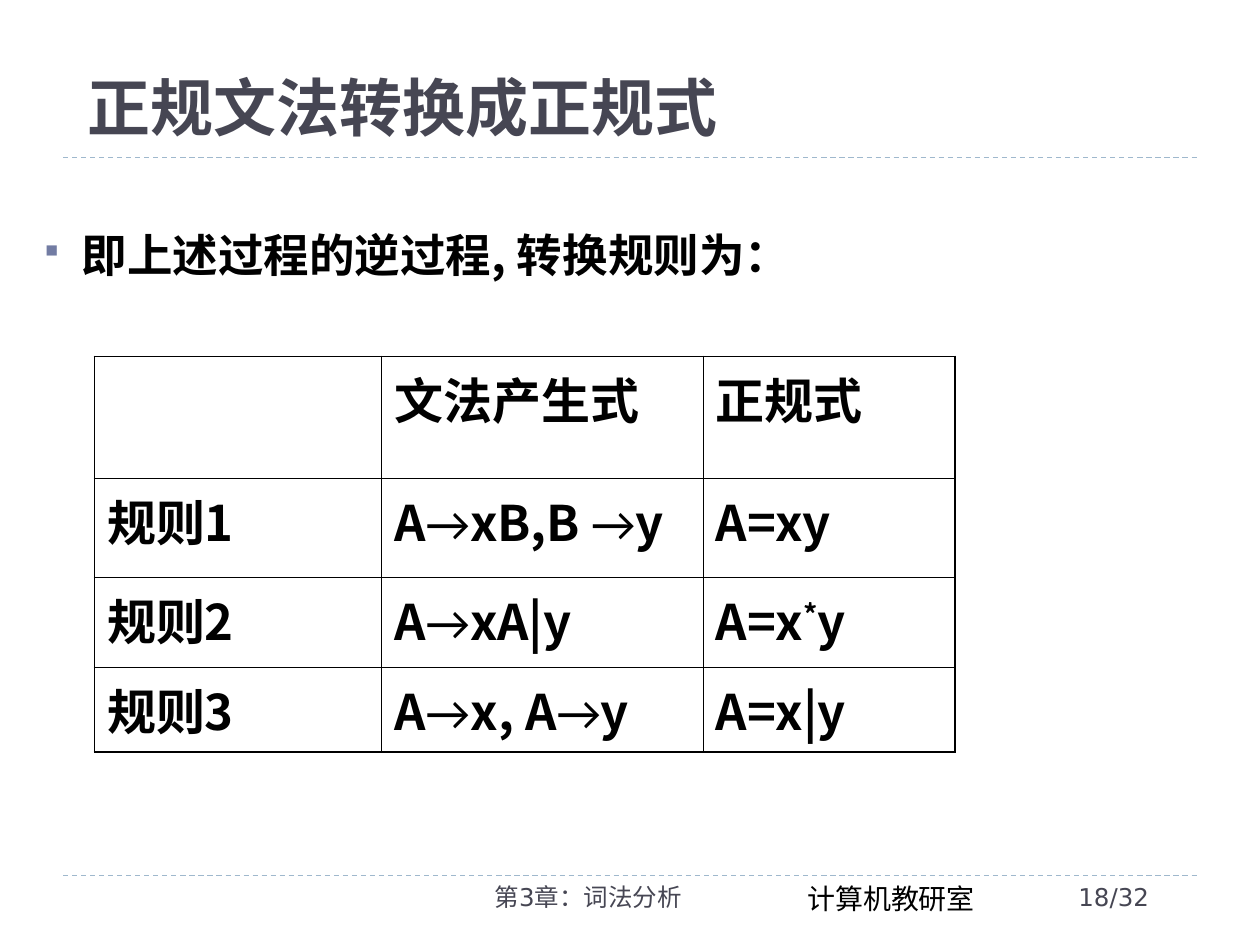
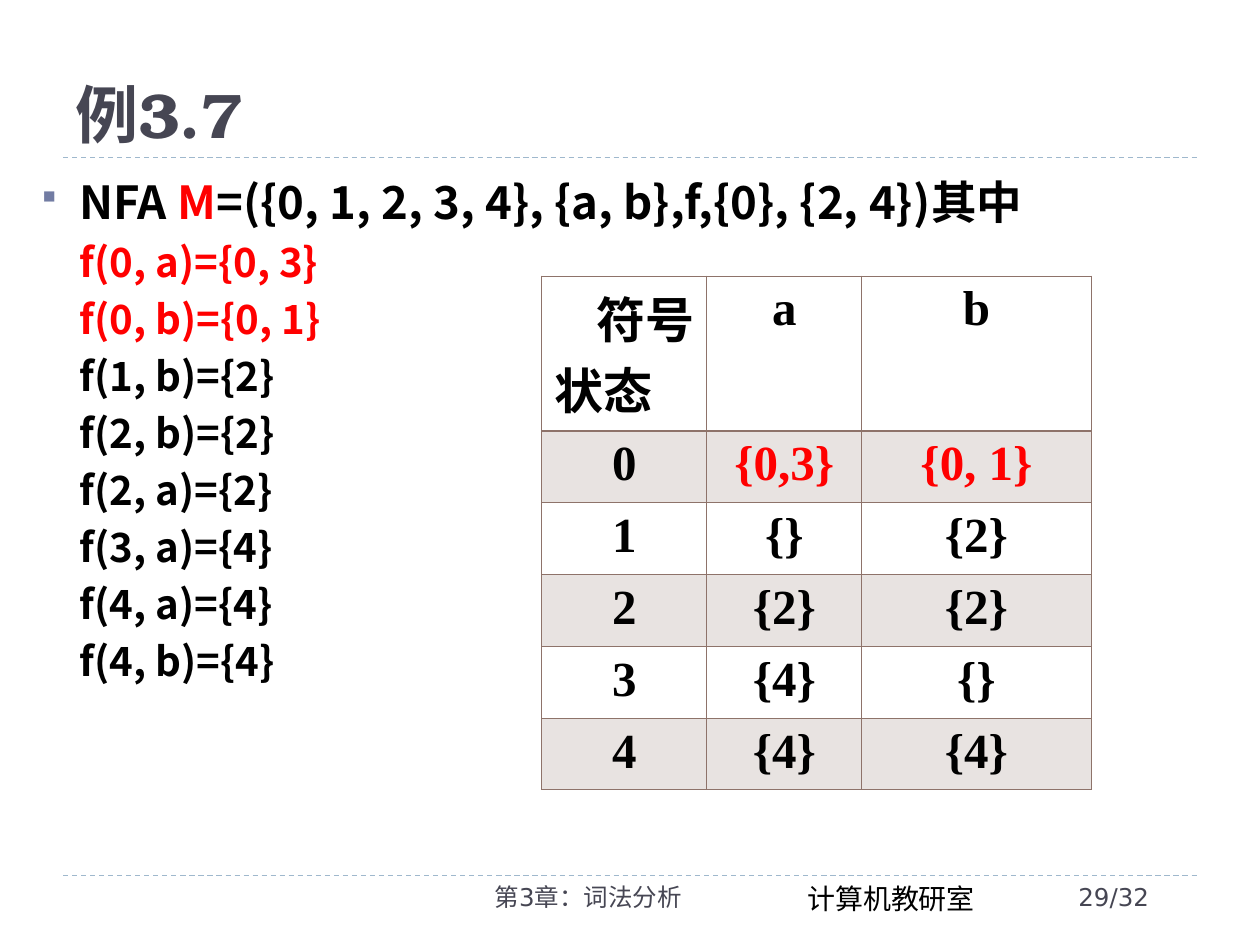
from itertools import groupby
from lxml.etree import SubElement
from pptx import Presentation
from pptx.dml.color import RGBColor as RGB
from pptx.enum.dml import MSO_LINE
from pptx.enum.shapes import MSO_CONNECTOR
from pptx.enum.text import MSO_ANCHOR as ANCHOR, PP_ALIGN as ALIGN
from pptx.oxml.ns import qn
from pptx.util import Inches, Pt

# Shared style
C = {"ink": "000000", "title": "464653", "rule": "9FB8CD", "bullet": "727CA3",
     "red": "FF0000", "grid": "8E736A", "band": "E8E3E1", "white": "FFFFFF"}
CJK, SERIF = "Noto Sans CJK SC", "Times New Roman"
TITLE = {"name": CJK, "size": 36, "bold": True, "color": "title"}
LEAD = {"name": CJK, "size": 26, "bold": True, "color": "ink"}
ITEM = {**LEAD, "size": 23}
CELL = {**LEAD, "size": 28}
FOOT = {"name": "DejaVu Sans", "size": 14, "color": "title"}
DEPT = {"name": SERIF, "size": 16, "color": "ink"}
RED = {"color": "red"}
SYMBOLS = {"→": {"name": "Calibri", "bold": False}, "*": {"baseline": 30000}}
THIN, HEADER, OUTER = 0.45, 0.96, 1.08

# Content
FOOTER = "第3章：词法分析"
DEPARTMENT = "计算机教研室"
RULES = [
    ["", "文法产生式", "正规式"],
    ["规则1", "A→xB,B →y", "A=xy"],
    ["规则2", "A→xA|y", "A=x*y"],
    ["规则3", "A→x, A→y", "A=x|y"],
]
RULE_LEAD = [("即上述过程的逆过程, 转换规则为：", {})]
NFA_LEAD = [("NFA ", {}), ("M", RED),
            ("=({0, 1, 2, 3, 4}, {a, b},f,{0}, {2, 4})其中", {})]
MOVES = ["f(0, a)={0, 3}", "f(0, b)={0, 1}", "f(1, b)={2}", "f(2, b)={2}",
         "f(2, a)={2}", "f(3, a)={4}", "f(4, a)={4}", "f(4, b)={4}"]
RED_MOVES = 2
STATES = [
    ["符号\n状态", "a", "b"],
    ["0", "{0,3}", "{0, 1}"],
    ["1", "{}", "{2}"],
    ["2", "{2}", "{2}"],
    ["3", "{4}", "{}"],
    ["4", "{4}", "{4}"],
]
RED_CELLS = {(1, 1), (1, 2)}


def symbol_runs(text):
    """Split a formula into runs so that its symbols get their own format."""
    groups = groupby(text, lambda ch: ch if ch in SYMBOLS else "")
    return [("".join(part), SYMBOLS.get(key, {})) for key, part in groups]


def add_runs(p, runs, base):
    for text, extra in runs:
        fmt = {**base, **extra}
        r = p.add_run()
        r.text = text
        r.font.color.rgb = RGB.from_string(C[fmt.pop("color")])
        r.font.size = Pt(fmt.pop("size"))
        rPr = r.font._element
        if "baseline" in fmt:
            rPr.set("baseline", str(fmt.pop("baseline")))
        for key, value in fmt.items():
            setattr(r.font, key, value)
        SubElement(rPr, qn("a:ea")).set("typeface", CJK)


def indent(p, left, hang):
    pPr = p._p.get_or_add_pPr()
    pPr.set("marL", str(Inches(left)))
    pPr.set("indent", str(-Inches(hang)))
    return pPr


def add_bullet(p):
    """Hang a small square; in Wingdings it is the character §."""
    pPr = indent(p, 0.3, 0.3)
    color = SubElement(pPr, qn("a:buClr"))
    SubElement(color, qn("a:srgbClr")).set("val", C["bullet"])
    SubElement(pPr, qn("a:buSzPct")).set("val", "76000")
    font = SubElement(pPr, qn("a:buFont"))
    font.set("typeface", "Wingdings")
    font.set("charset", "2")
    SubElement(pPr, qn("a:buChar")).set("char", "§")


def add_box(s, at, runs, base, anchor=ANCHOR.TOP, align=ALIGN.LEFT):
    tf = s.shapes.add_textbox(*map(Inches, at)).text_frame
    tf.word_wrap = True
    tf.vertical_anchor = anchor
    tf.paragraphs[0].alignment = align
    add_runs(tf.paragraphs[0], runs, base)
    return tf


def add_rule(s, y):
    line = s.shapes.add_connector(MSO_CONNECTOR.STRAIGHT, Inches(0.5), Inches(y),
                                  Inches(9.5), Inches(y))
    line.line.color.rgb = RGB.from_string(C["rule"])
    line.line.width = Pt(0.75)
    line.line.dash_style = MSO_LINE.DASH
    SubElement(line._element.spPr, qn("a:effectLst"))


def add_page(prs, number, title, at, anchor, font=CJK):
    s = prs.slides.add_slide(prs.slide_layouts[6])
    for y in (1.25, 6.95):
        add_rule(s, y)
    add_box(s, (6.31, 6.95, 1.66, 0.37), [(DEPARTMENT, {})], DEPT)
    add_box(s, (3.17, 6.95, 3, 0.4), [(FOOTER, {})], FOOT, align=ALIGN.CENTER)
    add_box(s, (8.46, 6.95, 1.15, 0.4), [(f"{number}/32", {})], FOOT)
    add_box(s, at, [(title, {})], {**TITLE, "name": font}, anchor)
    return s


def set_borders(cell, color, widths):
    """Draw the left, right, top and bottom borders; widths in points."""
    tcPr = cell._tc.get_or_add_tcPr()
    for i, (side, width) in enumerate(zip("LRTB", widths)):
        ln = tcPr.makeelement(qn(f"a:ln{side}"), {"w": str(Pt(width))})
        fill = SubElement(ln, qn("a:solidFill"))
        SubElement(fill, qn("a:srgbClr")).set("val", C[color])
        tcPr.insert(i, ln)


def add_grid(s, left, top, cols, heights, rows, style):
    """style(row, col) gives font, alignments, fill, border colour and widths."""
    table = s.shapes.add_table(len(rows), len(cols), Inches(left), Inches(top),
                               Inches(sum(cols)), Inches(sum(heights))).table
    for col, width in zip(table.columns, cols):
        col.width = Inches(width)
    for row, height in zip(table.rows, heights):
        row.height = Inches(height)
    for i, row in enumerate(rows):
        for j, text in enumerate(row):
            cell = table.cell(i, j)
            base, aligns, fill, color, widths = style(i, j)
            cell.fill.solid()
            cell.fill.fore_color.rgb = RGB.from_string(C[fill])
            set_borders(cell, color, widths)
            tf = cell.text_frame
            for k, (line, align) in enumerate(zip(text.split("\n"), aligns)):
                p = tf.add_paragraph() if k else tf.paragraphs[0]
                p.alignment = align
                add_runs(p, symbol_runs(line), base)


def rule_style(i, j):
    edges = (j == 0, j == len(RULES[0]) - 1, i == 0, i == len(RULES) - 1)
    widths = [OUTER if edge else THIN for edge in edges]
    return CELL, [ALIGN.LEFT], "white", "ink", widths


def state_style(i, j):
    base = {**CELL, "name": SERIF, **(RED if (i, j) in RED_CELLS else {})}
    aligns = [ALIGN.CENTER] if i or j else [ALIGN.RIGHT, ALIGN.LEFT]
    widths = (THIN, THIN, HEADER if i == 1 else THIN, HEADER if i == 0 else THIN)
    return base, aligns, "band" if i % 2 else "white", "grid", widths


def grammar_slide(prs):
    s = add_page(prs, 18, "正规文法转换成正规式", (0.6, 0.39, 8.5, 0.9), ANCHOR.MIDDLE)
    tf = add_box(s, (0.25, 1.67, 9.42, 0.83), RULE_LEAD, LEAD, align=ALIGN.JUSTIFY)
    tf.paragraphs[0].line_spacing = 1.2
    add_bullet(tf.paragraphs[0])
    add_grid(s, 0.75, 2.83, (2.28, 2.55, 2), (0.97, 0.78, 0.72, 0.67),
             RULES, rule_style)


def nfa_slide(prs):
    s = add_page(prs, 29, "例3.7", (0.5, 0.17, 9, 1.08), ANCHOR.BOTTOM,
                 "TeX Gyre Bonum")
    tf = add_box(s, (0.23, 1.33, 9.53, 5.4), NFA_LEAD, LEAD)
    add_bullet(tf.paragraphs[0])
    for i, move in enumerate(MOVES):
        p = tf.add_paragraph()
        p.level, p.space_before = 1, Pt(5)
        indent(p, 0.6, 0.3)
        add_runs(p, [(move, RED if i < RED_MOVES else {})], ITEM)
    add_grid(s, 4.3, 2.19, (1.31, 1.23, 1.82), [1.23] + [0.57] * 5,
             STATES, state_style)


def main():
    prs = Presentation()
    prs.slide_width, prs.slide_height = Inches(10), Inches(7.5)
    grammar_slide(prs)
    nfa_slide(prs)
    prs.save("out.pptx")


if __name__ == "__main__":
    main()
